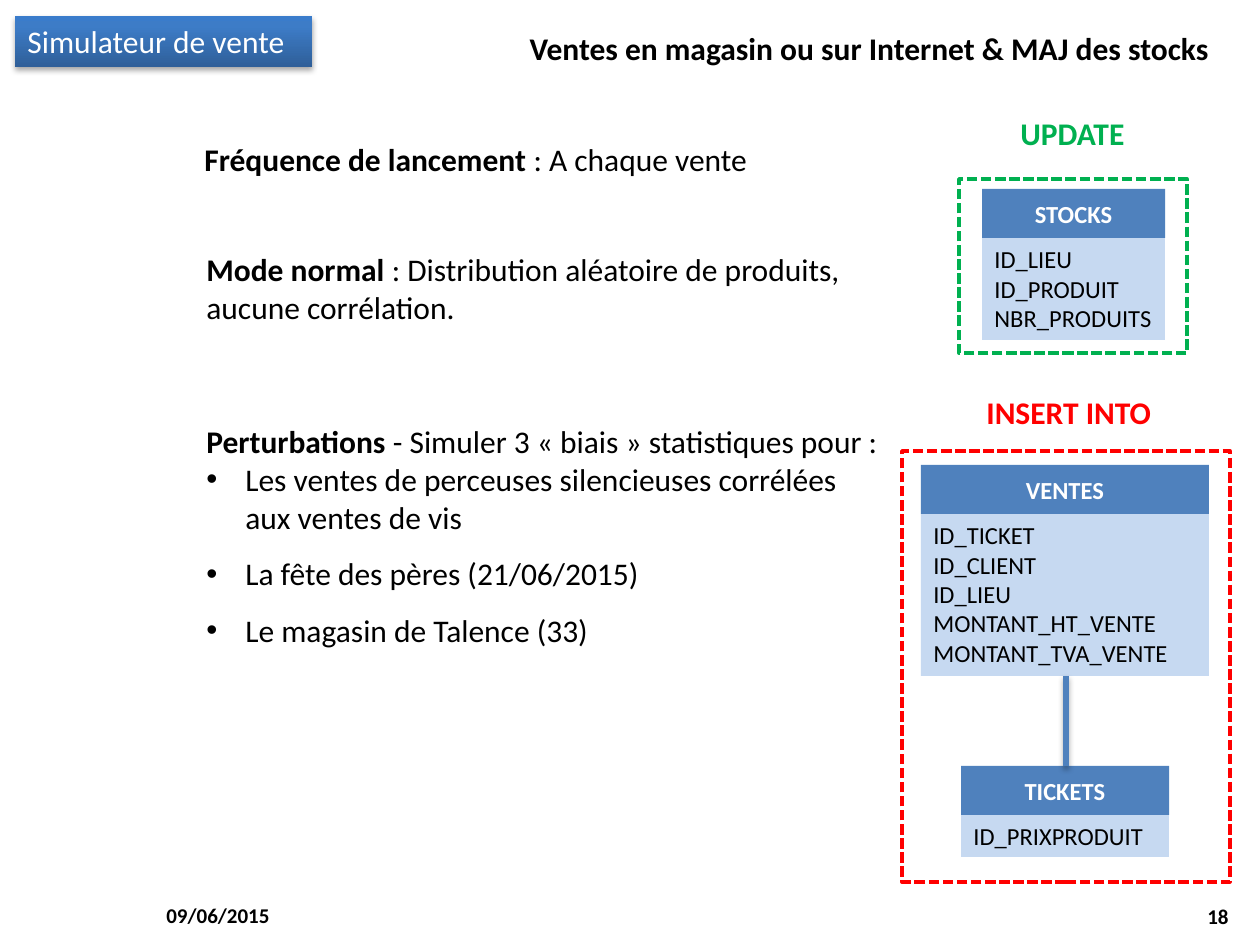
from dataclasses import dataclass

from lxml.etree import SubElement
from pptx import Presentation
from pptx.dml.color import RGBColor
from pptx.enum.dml import MSO_LINE_DASH_STYLE as Dash
from pptx.enum.shapes import MSO_CONNECTOR as Connector, MSO_SHAPE as Preset
from pptx.enum.text import MSO_ANCHOR as Anchor, PP_ALIGN as Align
from pptx.oxml.ns import qn
from pptx.util import Emu, Pt

SCALE = 914400 / 126
HEADER_HEIGHT = 49


@dataclass(frozen=True)
class Theme:
    font: str = "Calibri"
    body: int = 18
    field: int = 14
    footer: int = 12
    black: str = "000000"
    white: str = "FFFFFF"
    header: str = "4F81BD"
    card: str = "C6D9F1"
    insert: str = "FF0000"
    update: str = "00B050"
    gradient: tuple = ((0, "2F5F99"), (80, "3D7CC7"), (100, "3A7CCB"))


@dataclass(frozen=True)
class Line:
    text: str
    lead: str = ""
    bullet: bool = False
    spacing: float = 1.0


THEME = Theme()


def px(*lengths):
    return [Emu(round(length * SCALE)) for length in lengths]


def color(value):
    return RGBColor.from_string(value)


def add_bullet(paragraph):
    properties = paragraph._p.get_or_add_pPr()
    indent, = px(39)
    properties.set("marL", str(indent))
    properties.set("indent", str(-indent))
    SubElement(properties, qn("a:buFont"), typeface="Arial")
    SubElement(properties, qn("a:buChar"), char="•")


def write(shape, lines, size=THEME.body, ink=THEME.black, bold=False,
          align=Align.LEFT, anchor=Anchor.TOP, wrap=True):
    frame = shape.text_frame
    frame.word_wrap = wrap
    frame.vertical_anchor = anchor
    for index, line in enumerate(lines):
        paragraph = frame.add_paragraph() if index else frame.paragraphs[0]
        if line.bullet:
            add_bullet(paragraph)
        paragraph.alignment = align
        paragraph.line_spacing = line.spacing
        for text, weight in ((line.lead, True), (line.text, bold)):
            if text:
                run = paragraph.add_run()
                run.text = text
                font = run.font
                font.name, font.size, font.bold = THEME.font, Pt(size), weight
                font.color.rgb = color(ink)


def add_text(slide, box, lines, **style):
    write(slide.shapes.add_textbox(*px(*box)), lines, **style)


def add_block(slide, box, fill=None, preset=Preset.RECTANGLE):
    shape = slide.shapes.add_shape(preset, *px(*box))
    shape.shadow.inherit = False
    shape.line.fill.background()
    if fill:
        shape.fill.solid()
        shape.fill.fore_color.rgb = color(fill)
    else:
        shape.fill.background()
    return shape


def add_shadow(effects):
    shadow = SubElement(effects, qn("a:outerShdw"), blurRad="40000", dist="23000",
                        dir="5400000", rotWithShape="0")
    tint = SubElement(shadow, qn("a:srgbClr"), val=THEME.black)
    SubElement(tint, qn("a:alpha"), val="35000")


def add_badge(slide, box, text):
    badge = add_block(slide, box)
    badge.fill.gradient()
    badge.fill.gradient_angle = 90
    stops = badge._element.spPr.find(".//" + qn("a:gsLst"))
    for stop in list(stops):
        stops.remove(stop)
    for position, value in THEME.gradient:
        stop = SubElement(stops, qn("a:gs"), pos=str(position * 1000))
        SubElement(stop, qn("a:srgbClr"), val=value)
    add_shadow(badge._element.spPr.find(qn("a:effectLst")))
    write(badge, [Line(text)], ink=THEME.white)


def add_title(slide, box, text):
    title = slide.shapes.title
    title.left, title.top, title.width, title.height = px(*box)
    write(title, [Line(text)], bold=True)


def add_card(slide, box, name, fields):
    left, top, width, height = box
    body = add_block(slide, (left, top + HEADER_HEIGHT, width, height - HEADER_HEIGHT), THEME.card)
    write(body, [Line(field) for field in fields], size=THEME.field)
    header = add_block(slide, (left, top, width, HEADER_HEIGHT), THEME.header,
                       Preset.SNIP_2_SAME_RECTANGLE)
    for index in range(2):
        header.adjustments[index] = 0
    write(header, [Line(name)], size=THEME.field, ink=THEME.white, bold=True,
          align=Align.CENTER, anchor=Anchor.MIDDLE)


def add_link(slide, x, top, bottom):
    link = slide.shapes.add_connector(Connector.STRAIGHT, *px(x, top, x, bottom))
    link.line.color.rgb = color(THEME.header)
    link.line.width = Pt(3)
    add_shadow(SubElement(link._element.spPr, qn("a:effectLst")))


def add_frame(slide, box, ink):
    frame = add_block(slide, box)
    frame.line.color.rgb = color(ink)
    frame.line.width = Pt(2)
    frame.line.dash_style = Dash.SQUARE_DOT


def add_update_panel(slide, box):
    left, top, width, height = box
    add_card(slide, (left + 23, top + 10, 183, 151), "STOCKS",
             ["ID_LIEU", "ID_PRODUIT", "NBR_PRODUITS"])
    add_frame(slide, box, THEME.update)
    add_text(slide, (left + 49, top - 71, 131, 50), [Line("UPDATE")],
             ink=THEME.update, bold=True, wrap=False)


def add_insert_panel(slide, box):
    left, top, width, height = box
    add_card(slide, (left + 19, top + 14, 288, 211), "VENTES",
             ["ID_TICKET", "ID_CLIENT", "ID_LIEU", "MONTANT_HT_VENTE", "MONTANT_TVA_VENTE"])
    add_card(slide, (left + 59, top + 315, 208, 91), "TICKETS", ["ID_PRIXPRODUIT"])
    add_link(slide, left + 164, top + 225, top + 315)
    add_frame(slide, box, THEME.insert)
    add_text(slide, (left + 72, top - 64, 192, 50), [Line("INSERT INTO")],
             ink=THEME.insert, bold=True, wrap=False)


def add_explanations(slide, box):
    left, top, width, height = box
    add_text(slide, (left, top, 698, 50),
             [Line(": A chaque vente", lead="Fréquence de lancement ")])
    add_text(slide, (left + 2, top + 110, 682, 90),
             [Line(": Distribution aléatoire de produits, aucune corrélation.", lead="Mode normal ")])
    add_text(slide, (left + 2, top + 263, width - 2, height - 263), [
        Line("- Simuler 3 «\u00a0biais\u00a0» statistiques pour :", lead="Perturbations ", spacing=1.5),
        Line("Les ventes de perceuses silencieuses corrélées aux ventes de vis", bullet=True),
        Line("La fête des pères (21/06/2015)", bullet=True, spacing=1.5),
        Line("Le magasin de Talence (33)", bullet=True, spacing=1.5),
    ])


def add_footer(slide, box):
    left, top, width, height = box
    style = dict(size=THEME.footer, bold=True, anchor=Anchor.MIDDLE)
    add_text(slide, (left, top, 294, height), [Line("09/06/2015")], **style)
    add_text(slide, (left + width - 294, top + 1, 294, height), [Line("18")],
             align=Align.RIGHT, **style)


def main():
    presentation = Presentation()
    presentation.slide_width, presentation.slide_height = px(1260, 945)
    slide = presentation.slides.add_slide(presentation.slide_layouts[5])
    add_footer(slide, (154, 890, 1087, 50))
    add_title(slide, (517, 23, 721, 50), "Ventes en magasin ou sur Internet & MAJ des stocks")
    add_badge(slide, (15, 16, 297, 51), "Simulateur de vente")
    add_insert_panel(slide, (902, 451, 328, 431))
    add_update_panel(slide, (959, 179, 228, 174))
    add_explanations(slide, (192, 134, 709, 524))
    presentation.save("out.pptx")


if __name__ == "__main__":
    main()
